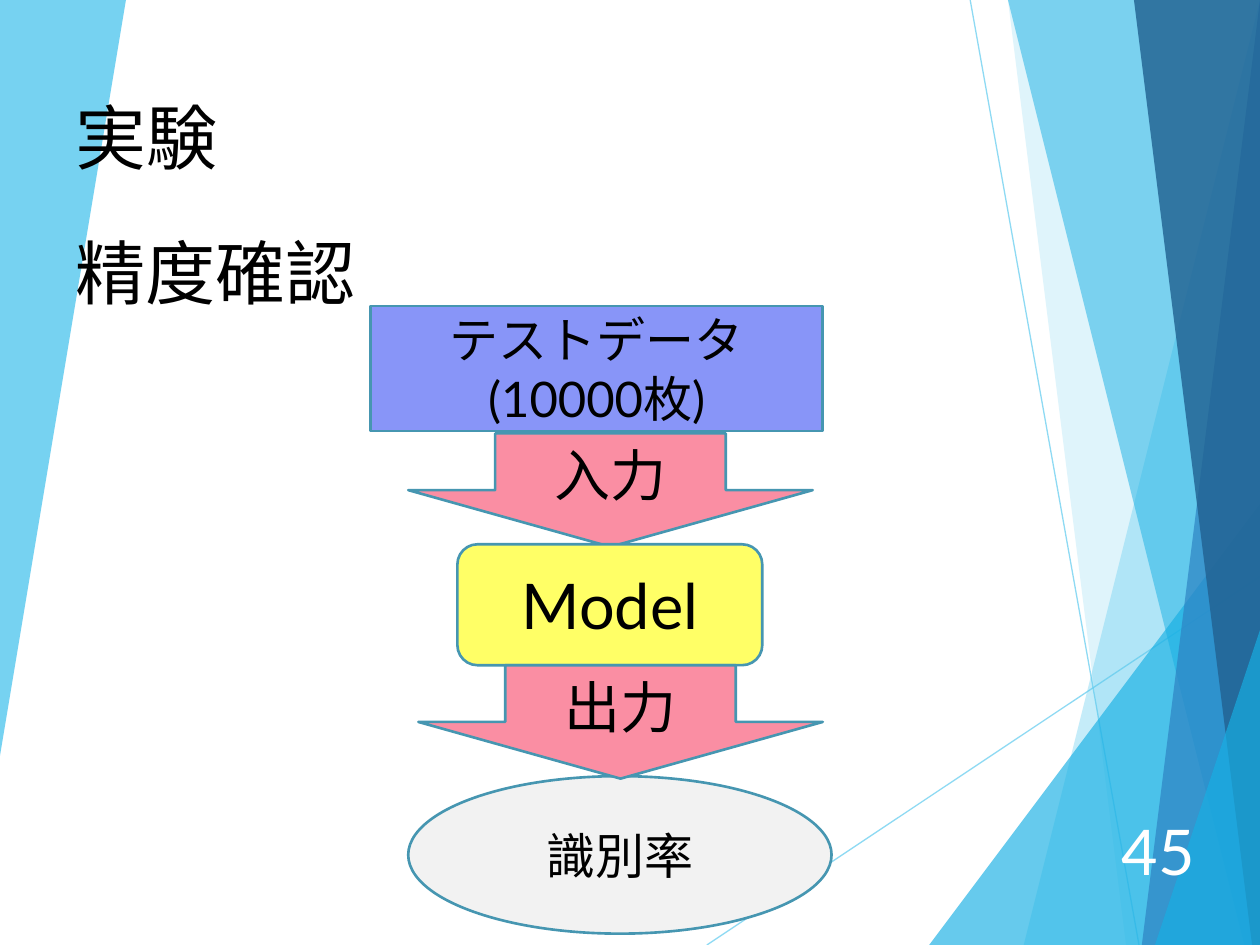
from lxml.etree import SubElement
from pptx import Presentation
from pptx.dml.color import RGBColor
from pptx.enum.shapes import MSO_CONNECTOR, MSO_SHAPE
from pptx.enum.text import MSO_ANCHOR, MSO_AUTO_SIZE, PP_ALIGN
from pptx.oxml.ns import qn
from pptx.util import Inches, Pt

FONT = "Lato"
BLACK = RGBColor(0x00, 0x00, 0x00)
WHITE = RGBColor(0xFF, 0xFF, 0xFF)
SKY = RGBColor(0x5F, 0xCB, 0xEF)
CYAN = RGBColor(0x17, 0xB0, 0xE4)
BLUE = RGBColor(0x2E, 0x83, 0xC3)
NAVY = RGBColor(0x22, 0x62, 0x92)
OUTLINE = RGBColor(0x46, 0x96, 0xB1)
PERIWINKLE = RGBColor(0x88, 0x95, 0xF8)
PINK = RGBColor(0xFA, 0x8E, 0xA3)
YELLOW = RGBColor(0xFF, 0xFF, 0x66)
LIGHT_GRAY = RGBColor(0xF2, 0xF2, 0xF2)

# Start and end points of the thin background lines
RAYS = [((5.61, 7.5), (10.01, 4.57)), ((7.7, 0), (9.04, 7.5))]
RAY_OPACITY = 70

# Corners, colour, opacity in percent
FACETS = [
    ([(9.75, 0), (7.54, 7.5), (10.02, 7.5), (10.02, 0)], SKY, 36),
    ([(7.88, 0), (9.19, 7.5), (10.01, 7.5), (10.01, 0)], SKY, 20),
    ([(7.26, 7.5), (10, 4.29), (10.01, 7.5)], CYAN, 66),
    ([(7.67, 0), (9.7, 7.5), (10.01, 7.5), (10.01, 0)], CYAN, 50),
    ([(9.81, 0), (9.07, 7.5), (10.01, 7.5), (10.01, 0)], BLUE, 70),
    ([(8.85, 0), (9.88, 7.5), (10.02, 7.5), (10.01, 0)], NAVY, 82),
    ([(8.82, 7.5), (10.02, 5.35), (10.02, 7.5)], CYAN, 66),
    ([(0, 0), (0.94, 0), (0, 6.22)], SKY, 85),
]

# Text, box, size, colour, alignment, anchor, grows with its text
LABELS = [
    ("45", (8.74, 6.48, 0.84, 0.53), 36, WHITE, PP_ALIGN.RIGHT, MSO_ANCHOR.MIDDLE, False),
    ("実験", (0.5, 0.69, 7.11, 0.78), 40.5, BLACK, PP_ALIGN.LEFT, MSO_ANCHOR.TOP, True),
    ("精度確認", (0.5, 1.77, 7.71, 0.77), 40, BLACK, PP_ALIGN.LEFT, MSO_ANCHOR.TOP, True),
]

# Text, preset, box, fill, size
FLOW = [
    ("テストデータ(10000枚)", MSO_SHAPE.RECTANGLE, (2.94, 2.43, 3.59, 0.99), PERIWINKLE, 28),
    ("入力", MSO_SHAPE.DOWN_ARROW, (3.24, 3.44, 3.21, 0.9), PINK, 32),
    ("Model", MSO_SHAPE.ROUNDED_RECTANGLE, (3.63, 4.32, 2.42, 0.96), YELLOW, 36),
    ("識別率", MSO_SHAPE.OVAL, (3.24, 6.16, 3.36, 1.25), LIGHT_GRAY, 28),
    ("出力", MSO_SHAPE.DOWN_ARROW, (3.32, 5.28, 3.21, 0.9), PINK, 32),
]
ARROW_SHAFT, ARROW_HEAD = 0.57, 0.5


def set_opacity(element, percent):
    """Make the solid colour inside a fill or line element translucent."""
    color = next(element.iter(qn("a:srgbClr")))
    SubElement(color, qn("a:alpha"), val=str(percent * 1000))


def add_ray(slide, start, end):
    ray = slide.shapes.add_connector(
        MSO_CONNECTOR.STRAIGHT, *(Inches(value) for value in start + end))
    ray.line.color.rgb = SKY
    ray.line.width = Pt(0.75)
    properties = ray._element.spPr
    set_opacity(properties, RAY_OPACITY)
    SubElement(properties, qn("a:effectLst"))


def add_facet(slide, corners, color, opacity):
    builder = slide.shapes.build_freeform(*corners[0], scale=Inches(1))
    builder.add_line_segments(corners[1:], close=True)
    facet = builder.convert_to_shape()
    facet.shadow.inherit = False
    facet.fill.solid()
    facet.fill.fore_color.rgb = color
    facet.line.fill.background()
    set_opacity(facet._element.spPr, opacity)


def write_text(shape, text, size, color, alignment, anchor):
    frame = shape.text_frame
    frame.word_wrap = True
    frame.vertical_anchor = anchor
    paragraph = frame.paragraphs[0]
    paragraph.text = text
    paragraph.alignment = alignment
    paragraph.font.name = FONT
    paragraph.font.size = Pt(size)
    paragraph.font.color.rgb = color


def add_label(slide, text, box, size, color, alignment, anchor, grows):
    label = slide.shapes.add_textbox(*map(Inches, box))
    write_text(label, text, size, color, alignment, anchor)
    if grows:
        label.text_frame.auto_size = MSO_AUTO_SIZE.SHAPE_TO_FIT_TEXT


def add_step(slide, text, preset, box, fill, size):
    step = slide.shapes.add_shape(preset, *map(Inches, box))
    step.shadow.inherit = False
    step.fill.solid()
    step.fill.fore_color.rgb = fill
    step.line.color.rgb = OUTLINE
    step.line.width = Pt(1.5)
    if preset == MSO_SHAPE.DOWN_ARROW:
        step.adjustments[0] = ARROW_SHAFT
        step.adjustments[1] = ARROW_HEAD
    write_text(step, text, size, BLACK, PP_ALIGN.CENTER, MSO_ANCHOR.MIDDLE)


def main():
    presentation = Presentation()
    presentation.slide_width = Inches(10)
    presentation.slide_height = Inches(7.5)
    slide = presentation.slides.add_slide(presentation.slide_layouts[6])
    for ray in RAYS:
        add_ray(slide, *ray)
    for facet in FACETS:
        add_facet(slide, *facet)
    for label in LABELS:
        add_label(slide, *label)
    for step in FLOW:
        add_step(slide, *step)
    presentation.save("out.pptx")


if __name__ == "__main__":
    main()
